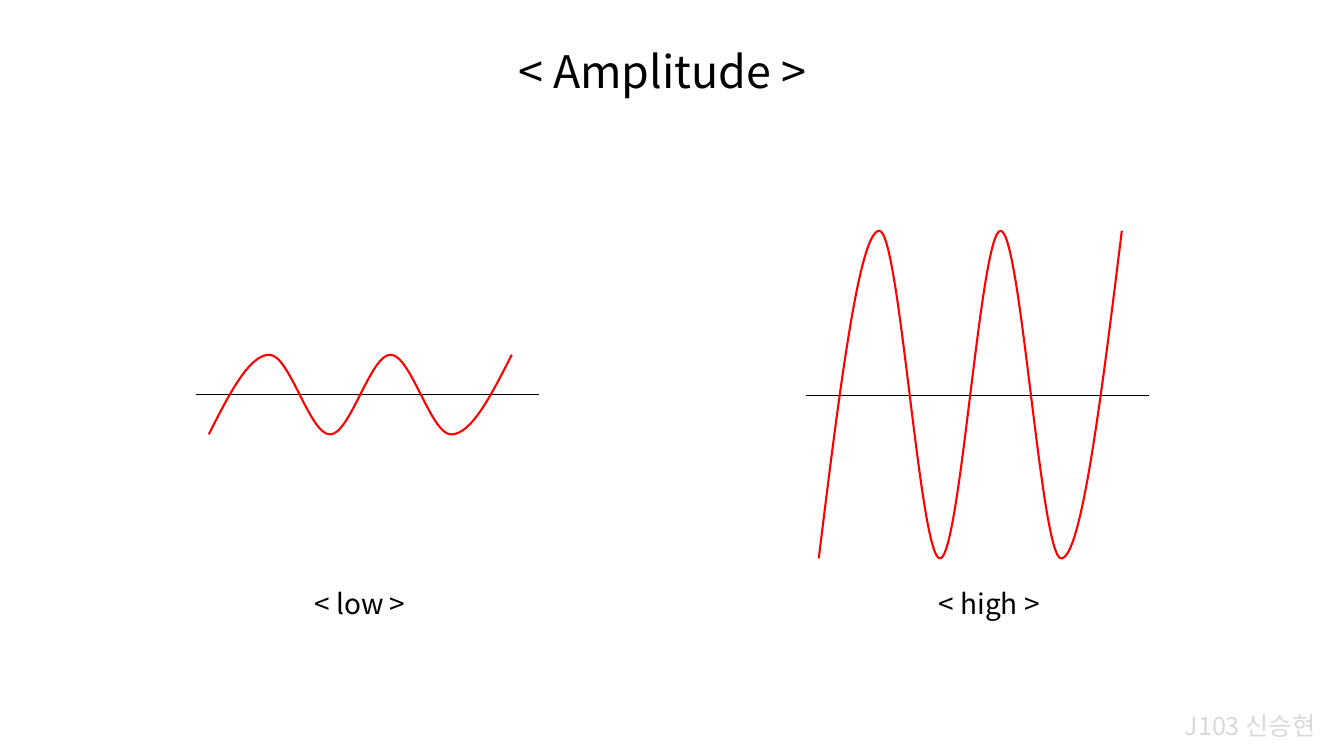
from dataclasses import dataclass

import lxml.etree
import pptx
import pptx.dml.color
import pptx.enum.shapes
import pptx.enum.text
import pptx.oxml.ns
import pptx.shapes.base
import pptx.slide
import pptx.util

FONT = "Noto Sans CJK KR"
SEGMENTS = 5
STEP = 4.51  # half a wavelength, in percent of the slide width
AXIS_WIDTH = 25.52
WAVE_INSET = 0.98
MIDLINE = 52.2

prs = pptx.Presentation()
prs.slide_width = pptx.util.Inches(13.33)
prs.slide_height = pptx.util.Inches(7.5)


@dataclass
class Label:
    """Text with its box in percent of the slide."""
    text: str
    left: float
    top: float
    width: float
    height: float
    size: int
    colour: str = "000000"


@dataclass
class Wave:
    """A wave on its axis, in percent of the slide."""
    axis_left: float
    axis_y: float
    amplitude: float
    label: Label


TITLE = Label("< Amplitude >", 37.8, 5.07, 24.38, 8.53, 32)
NOTE = Label("J103 신승현", 87.4, 93.33, 11.7, 5.33, 18, "D9D9D9")
WAVES = [
    Wave(14.55, 52.13, 5.27, Label("< low >", 22.66, 76.93, 9.23, 5.87, 20)),
    Wave(59.94, 52.27, 21.67, Label("< high >", 69.09, 76.93, 10.13, 5.87, 20)),
]


def x(share: float) -> int:
    """Turn a percentage of the slide width into a length."""
    return round(prs.slide_width * share / 100)


def y(share: float) -> int:
    """Turn a percentage of the slide height into a length."""
    return round(prs.slide_height * share / 100)


def rgb(colour: str) -> pptx.dml.color.RGBColor:
    """Turn a hex string into a colour."""
    return pptx.dml.color.RGBColor.from_string(colour)


def write(sp: pptx.shapes.base.BaseShape, label: Label) -> None:
    """Place a text shape and fill it with the label's run."""
    sp.left, sp.top = x(label.left), y(label.top)
    sp.width, sp.height = x(label.width), y(label.height)
    tf = sp.text_frame
    tf.word_wrap = False
    tf.auto_size = pptx.enum.text.MSO_AUTO_SIZE.SHAPE_TO_FIT_TEXT
    tf.vertical_anchor = pptx.enum.text.MSO_ANCHOR.TOP
    p = tf.paragraphs[0]
    p.alignment = pptx.enum.text.PP_ALIGN.LEFT
    r = p.add_run()
    r.text = label.text
    r.font.name = FONT
    r.font.size = pptx.util.Pt(label.size)
    r.font.color.rgb = rgb(label.colour)
    ea = lxml.etree.SubElement(r.font._element, pptx.oxml.ns.qn("a:ea"))
    ea.set("typeface", FONT)


def add_label(s: pptx.slide.Slide, label: Label) -> None:
    """Add a text box for the label."""
    write(s.shapes.add_textbox(0, 0, x(label.width), y(label.height)), label)


def add_axis(s: pptx.slide.Slide, wave: Wave) -> None:
    """Draw the horizontal axis of a wave."""
    line = s.shapes.add_connector(
        pptx.enum.shapes.MSO_CONNECTOR.STRAIGHT,
        x(wave.axis_left), y(wave.axis_y),
        x(wave.axis_left + AXIS_WIDTH), y(wave.axis_y))
    line.line.color.rgb = rgb("000000")
    line.line.width = pptx.util.Pt(0.5)
    lxml.etree.SubElement(line._element.spPr, pptx.oxml.ns.qn("a:effectLst"))


def add_curve(s: pptx.slide.Slide, wave: Wave) -> None:
    """Draw a wave as cubic curves between its troughs and crests."""
    left = wave.axis_left + WAVE_INSET
    knots = [(left + i * STEP, MIDLINE + wave.amplitude * (-1) ** i)
             for i in range(SEGMENTS + 1)]
    points = []
    for i, ((x0, y0), (x1, y1)) in enumerate(zip(knots, knots[1:])):
        # The open ends slope; every inner knot has a level tangent.
        first_y = MIDLINE if i == 0 else y0
        second_y = MIDLINE if i == SEGMENTS - 1 else y1
        points += [(x0 + STEP / 3, first_y), (x1 - STEP / 3, second_y), (x1, y1)]
    builder = s.shapes.build_freeform(x(knots[0][0]), y(knots[0][1]))
    builder.add_line_segments([(x(px), y(py)) for px, py in points], close=False)
    sp = builder.convert_to_shape()
    bend_segments(sp)
    sp.fill.background()
    sp.line.color.rgb = rgb("FF0000")
    sp.line.width = pptx.util.Pt(1.5)
    sp.shadow.inherit = False


def bend_segments(sp: pptx.shapes.base.BaseShape) -> None:
    """Join each three straight segments into one cubic curve."""
    lines = list(sp._element.iter(pptx.oxml.ns.qn("a:lnTo")))
    for i in range(0, len(lines), 3):
        parent = lines[i].getparent()
        curve = lxml.etree.SubElement(parent, pptx.oxml.ns.qn("a:cubicBezTo"))
        for line in lines[i:i + 3]:
            curve.append(line[0])
            parent.remove(line)


s = prs.slides.add_slide(prs.slide_layouts.get_by_name("Title Only"))
write(s.shapes.title, TITLE)
add_label(s, NOTE)
for wave in WAVES:
    add_axis(s, wave)
    add_curve(s, wave)
    add_label(s, wave.label)
prs.save("out.pptx")
